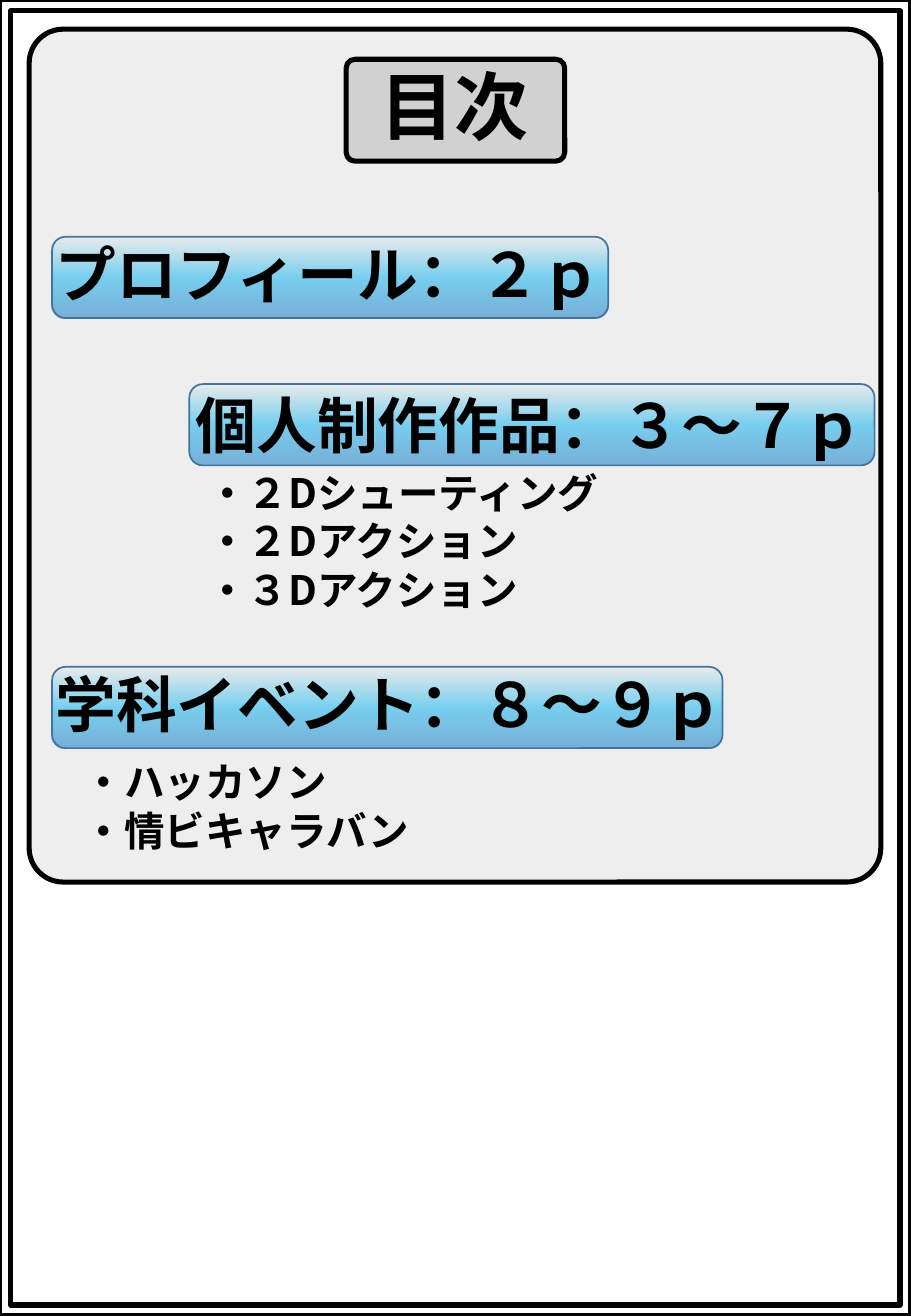
from lxml import etree
from pptx import Presentation
from pptx.dml.color import RGBColor
from pptx.enum.shapes import MSO_SHAPE as Shape
from pptx.enum.text import MSO_AUTO_SIZE as AutoSize, PP_ALIGN as Align
from pptx.oxml import parse_xml
from pptx.oxml.ns import nsdecls, qn
from pptx.util import Cm, Pt

PAGE_W, PAGE_H = 19.05, 27.51


def color(hex_string):
    return RGBColor.from_string(hex_string)


class ContentsPage:
    font = "Noto Sans CJK SC"
    ink = "000000"
    bar_line = "43739E"
    bar_stops = [(0, "0070C0"), (50, "00B0F0"), (100, "EAEAEA")]

    def __init__(self, slide):
        self.slide = slide

    def outline(self, kind, box, line, width, adjust=None):
        shape = self.slide.shapes.add_shape(kind, *map(Cm, box))
        shape.shadow.inherit = False
        if adjust is not None:
            shape.adjustments[0] = adjust
        shape.line.color.rgb = color(line)
        shape.line.width = Pt(width)
        return shape

    def panel(self, kind, box, fill, adjust, opacity=100):
        shape = self.outline(kind, box, self.ink, 3, adjust)
        shape.fill.solid()
        shape.fill.fore_color.rgb = color(fill)
        if opacity < 100:
            solid = shape.fill._xPr.find(qn("a:solidFill"))
            etree.SubElement(solid[0], qn("a:alpha"), val=str(opacity * 1000))

    def bar(self, box):
        shape = self.outline(Shape.ROUNDED_RECTANGLE, box, self.bar_line, 1)
        stops = "".join(
            f'<a:gs pos="{pos * 1000}"><a:srgbClr val="{rgb}">'
            '<a:alpha val="50000"/></a:srgbClr></a:gs>'
            for pos, rgb in self.bar_stops)
        gradient = parse_xml(
            f'<a:gradFill {nsdecls("a")} rotWithShape="1"><a:gsLst>{stops}</a:gsLst>'
            '<a:lin ang="16200000" scaled="0"/></a:gradFill>')
        shape._element.spPr.find(qn("a:prstGeom")).addnext(gradient)

    def text(self, box, lines, size, align=Align.LEFT):
        frame = self.slide.shapes.add_textbox(*map(Cm, box)).text_frame
        frame.word_wrap = True
        frame.auto_size = AutoSize.SHAPE_TO_FIT_TEXT
        for number, line in enumerate(lines):
            paragraph = frame.add_paragraph() if number else frame.paragraphs[0]
            paragraph.alignment = align
            run = paragraph.add_run()
            run.text = line
            run.font.size = Pt(size)
            run.font.bold = True
            run.font.name = self.font
            run.font.color.rgb = color(self.ink)
            etree.SubElement(run.font._element, qn("a:ea"), typeface=self.font)


def main():
    deck = Presentation()
    deck.slide_width, deck.slide_height = Cm(PAGE_W), Cm(PAGE_H)
    page = ContentsPage(deck.slides.add_slide(deck.slide_layouts[6]))

    # Sections: bar left, top, width; heading left, top, width; heading
    sections = [
        ((1.09, 13.94, 14.02), (0.91, 13.82, 14.53), "学科イベント：８～９ｐ"),
        ((3.96, 8.03, 14.33), (3.84, 7.98, 14.58), "個人制作作品：３～７ｐ"),
        ((1.09, 4.95, 11.63), (0.91, 4.83, 12.01), "プロフィール：２ｐ"),
    ]

    # Background panel, section bars and page border
    page.panel(Shape.ROUNDED_RECTANGLE, (0.61, 0.61, 17.81, 17.83), "DEDEDE", 0.04, 50)
    for bar, _, _ in sections:
        page.bar((*bar, 1.7))
    page.panel(Shape.FRAME, (0, 0, PAGE_W, PAGE_H), "FFFFFF", 0.012)

    # Title
    page.panel(Shape.ROUNDED_RECTANGLE, (7.24, 1.24, 4.57, 2.13), "B6B6B6", 0.086, 50)
    page.text((7.59, 1.14, 3.84, 2.13), ["目次"], 44, Align.CENTER)

    # Section headings
    for _, place, heading in sections:
        page.text((*place, 1.8), [heading], 36)

    # Entries below the headings
    page.text((1.5, 15.7, 7.37, 2.31), ["・ハッカソン", "・情ビキャラバン"], 24)
    page.text((4.09, 9.65, 11.35, 3.33),
              ["・２Dシューティング", "・２Dアクション", "・３Dアクション"], 24)

    deck.save("out.pptx")


if __name__ == "__main__":
    main()
